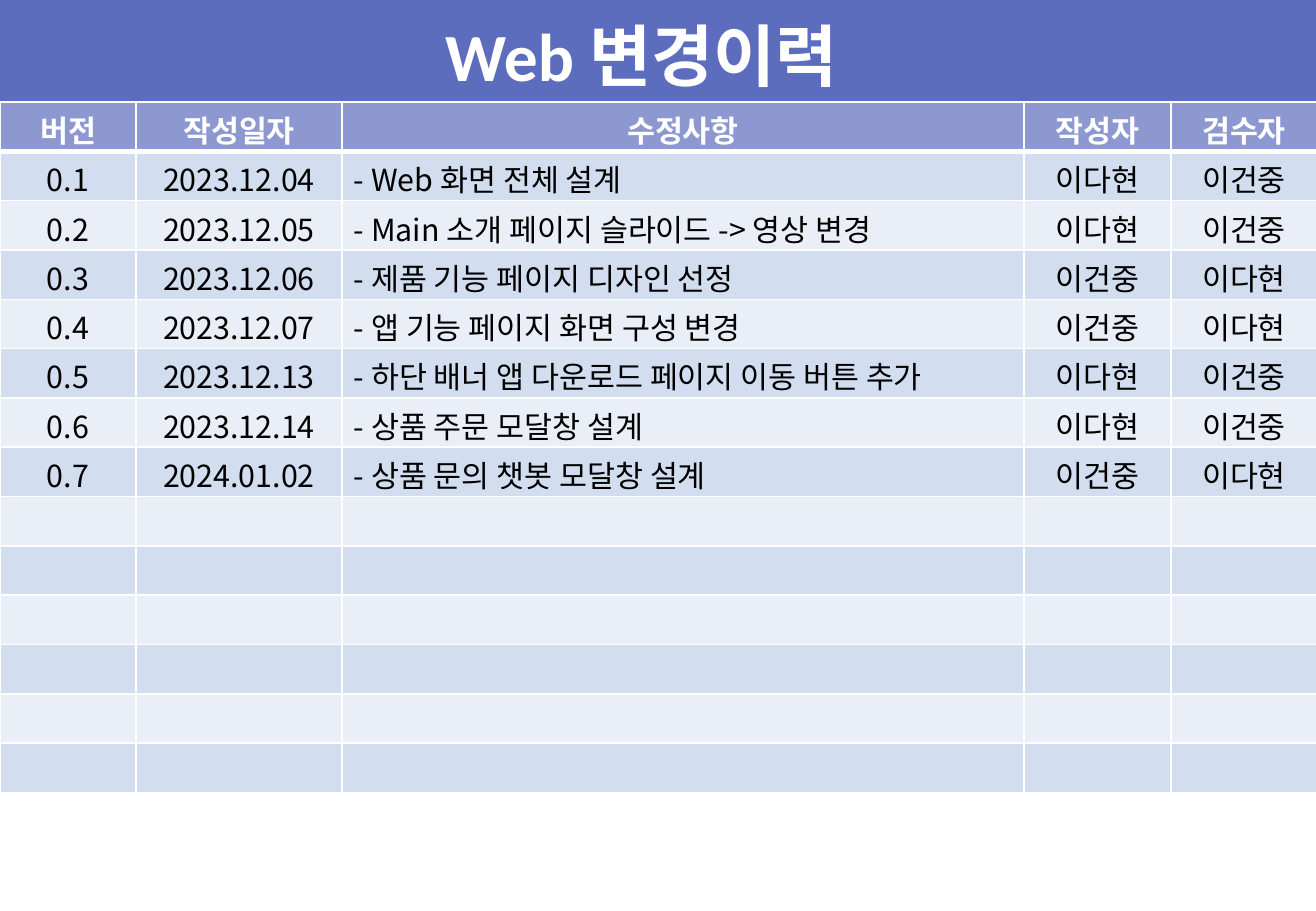
from lxml.etree import SubElement
from pptx import Presentation
from pptx.dml.color import RGBColor
from pptx.enum.shapes import MSO_SHAPE as Shape
from pptx.enum.text import MSO_ANCHOR as Anchor, MSO_AUTO_SIZE as AutoSize, PP_ALIGN as Align
from pptx.oxml.ns import qn
from pptx.util import Emu, Pt

WIDTH, HEIGHT = 1316, 911
BANNER_HEIGHT = 102
TABLE_HEIGHT = 691
ROW_COUNT = 14
COLUMN_WIDTHS = [136, 206, 682, 147, 146]
NOTE_COLUMN = 2

WHITE, BLACK, INDIGO = "FFFFFF", "000000", "5D6DBE"
BANDS = ["D2DEEF", "EAEFF7"]
TITLE_FONT, TABLE_FONT = "Calibri", "Noto Sans CJK KR"

HEADINGS = ["버전", "작성일자", "수정사항", "작성자", "검수자"]
REVISIONS = [
    ["0.1", "2023.12.04", "- Web 화면 전체 설계", "이다현", "이건중"],
    ["0.2", "2023.12.05", "- Main 소개 페이지 슬라이드 -> 영상 변경", "이다현", "이건중"],
    ["0.3", "2023.12.06", "- 제품 기능 페이지 디자인 선정", "이건중", "이다현"],
    ["0.4", "2023.12.07", "- 앱 기능 페이지 화면 구성 변경", "이건중", "이다현"],
    ["0.5", "2023.12.13", "- 하단 배너 앱 다운로드 페이지 이동 버튼 추가", "이다현", "이건중"],
    ["0.6", "2023.12.14", "- 상품 주문 모달창 설계", "이다현", "이건중"],
    ["0.7", "2024.01.02", "- 상품 문의 챗봇 모달창 설계", "이건중", "이다현"],
]


def px(length):
    return Emu(round(length * 914400 / 121.5))


def paint(color_format, color):
    color_format.rgb = RGBColor.from_string(color)


class RevisionPage:
    """Holds the slide and draws its elements in the shared style."""

    def __init__(self, deck):
        self.page = deck.slides.add_slide(deck.slide_layouts[5])

    def format_text(self, para, font, size, color, bold):
        for span in para.runs:
            span.font.name = font
            span.font.size = Pt(size)
            span.font.bold = bold
            paint(span.font.color, color)

    def banner(self, text, left, top, width, height):
        bar = self.page.shapes.add_shape(Shape.RECTANGLE, 0, 0, px(WIDTH), px(BANNER_HEIGHT))
        bar.shadow.inherit = False
        bar.fill.solid()
        paint(bar.fill.fore_color, INDIGO)
        bar.line.fill.background()

        title = self.page.shapes.title
        title.element.addprevious(bar.element)
        title.left, title.top, title.width, title.height = map(px, (left, top, width, height))
        frame = title.text_frame
        frame.text = text
        frame.word_wrap = False
        frame.auto_size = AutoSize.NONE
        frame.vertical_anchor = Anchor.TOP
        para = frame.paragraphs[0]
        para.alignment = Align.LEFT
        self.format_text(para, TITLE_FONT, 40, WHITE, True)

    def borders(self, cell, bottom):
        properties = cell._tc.get_or_add_tcPr()
        for side, points in (("lnL", 1), ("lnR", 1), ("lnT", 1), ("lnB", bottom)):
            line = SubElement(properties, qn(f"a:{side}"), w=str(Pt(points)))
            fill = SubElement(line, qn("a:solidFill"))
            SubElement(fill, qn("a:srgbClr"), val=WHITE)

    def cell(self, cell, text, is_heading, fill, align):
        self.borders(cell, 3 if is_heading else 1)
        cell.fill.solid()
        paint(cell.fill.fore_color, fill)
        if is_heading:
            color = cell._tc.tcPr.find(f".//{qn('a:srgbClr')}[@val='{INDIGO}']")
            SubElement(color, qn("a:alpha"), val="70000")
        cell.vertical_anchor = Anchor.MIDDLE
        cell.margin_left = cell.margin_right = px(12)
        cell.margin_top, cell.margin_bottom = px(5), 0
        cell.text = text
        para = cell.text_frame.paragraphs[0]
        para.alignment = align
        para.font.size = Pt(18)
        self.format_text(para, TABLE_FONT, 18, WHITE if is_heading else BLACK, is_heading)

    def table(self, rows):
        frame = self.page.shapes.add_table(
            ROW_COUNT, len(COLUMN_WIDTHS), 0, px(BANNER_HEIGHT),
            px(sum(COLUMN_WIDTHS)), px(TABLE_HEIGHT))
        grid = frame.table
        for column, width in zip(grid.columns, COLUMN_WIDTHS):
            column.width = px(width)
        for index, row in enumerate(grid.rows):
            row.height = px(TABLE_HEIGHT / ROW_COUNT)
            is_heading = index == 0
            fill = INDIGO if is_heading else BANDS[(index - 1) % 2]
            texts = rows[index] if index < len(rows) else [""] * len(COLUMN_WIDTHS)
            for position, text in enumerate(texts):
                is_note = position == NOTE_COLUMN and not is_heading
                align = Align.LEFT if is_note else Align.CENTER
                self.cell(row.cells[position], text, is_heading, fill, align)


def main():
    deck = Presentation()
    deck.slide_width, deck.slide_height = px(WIDTH), px(HEIGHT)
    page = RevisionPage(deck)
    page.banner("Web 변경이력", 433, 8, 451, 94)
    page.table([HEADINGS] + REVISIONS)
    deck.save("out.pptx")


if __name__ == "__main__":
    main()
